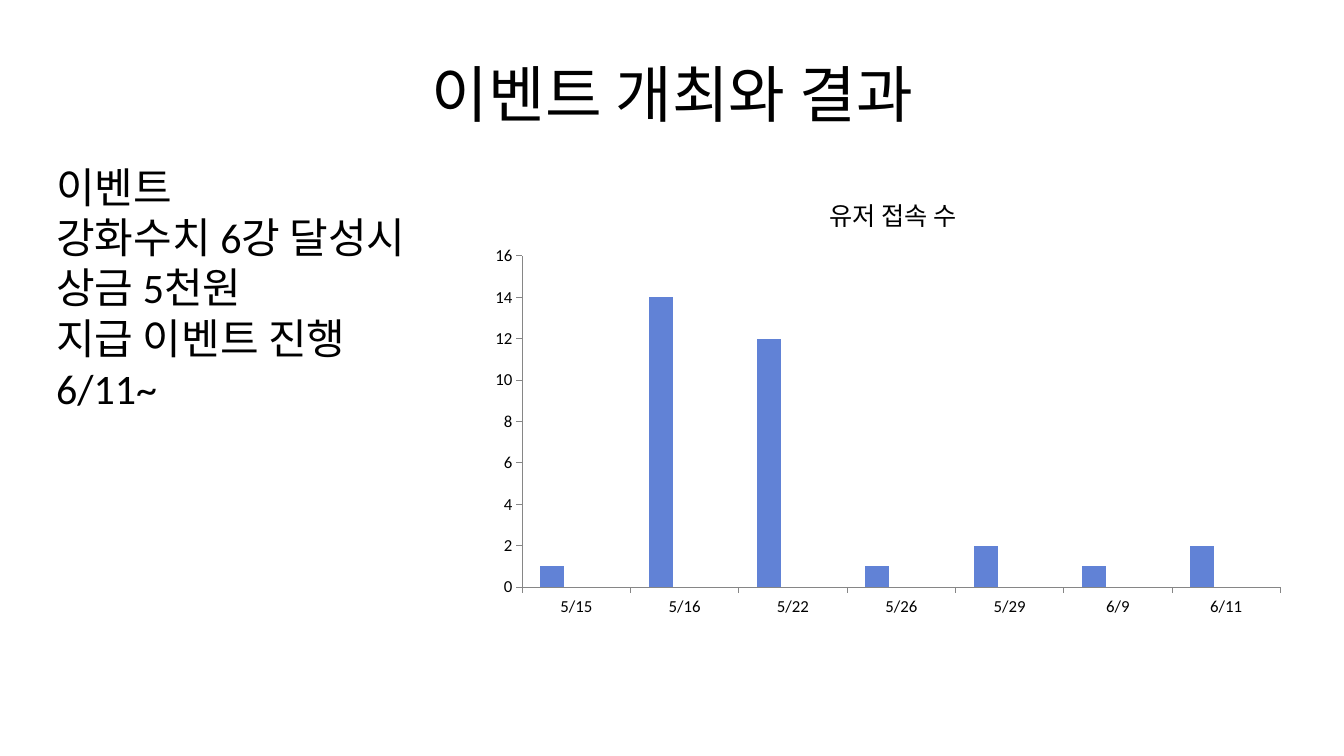
"""Builds a slide on an event and its result, with a column chart of user logins."""
from lxml.etree import SubElement
from pptx import Presentation
from pptx.chart.data import CategoryChartData
from pptx.dml.color import RGBColor
from pptx.enum.chart import XL_CHART_TYPE as ChartType, XL_TICK_MARK as Tick
from pptx.enum.text import MSO_ANCHOR as Anchor, PP_ALIGN as Align
from pptx.oxml.ns import qn
from pptx.util import Inches, Pt


def style(font, size, color="000000"):
    """Sets the typeface, size and colour of a font."""
    for name, value in {"name": "Calibri", "size": Pt(size), "bold": False}.items():
        setattr(font, name, value)
    font.color.rgb = RGBColor.from_string(color)


def add_text(page, area, lines, size, align, anchor):
    """Adds a text box with one paragraph for each line."""
    frame = page.shapes.add_textbox(*map(Inches, area)).text_frame
    frame.word_wrap = True
    frame.vertical_anchor = anchor
    for index, line in enumerate(lines):
        para = frame.paragraphs[0] if index == 0 else frame.add_paragraph()
        para.alignment = align
        span = para.add_run()
        span.text = line
        style(span.font, size)


deck = Presentation()
deck.slide_width, deck.slide_height = Inches(13.33), Inches(7.5)
page = deck.slides.add_slide(deck.slide_layouts[6])

add_text(page, (0.67, 0.3, 12, 1.25), ["이벤트 개최와 결과"], 44, Align.CENTER, Anchor.MIDDLE)

logins = CategoryChartData()
logins.categories = ["5/15", "5/16", "5/22", "5/26", "5/29", "6/9", "6/11"]
series_values = {
    "Series 1": [1, 14, 12, 1, 2, 1, 2],
    "Series 2": [None] * 7,
    "Series 3": [None] * 7,
}
for name, values in series_values.items():
    logins.add_series(name, values)
chart = page.shapes.add_chart(
    ChartType.COLUMN_CLUSTERED, *map(Inches, (4.86, 1.73, 8, 4.5)), logins
).chart
style(chart.font, 12)
chart.has_legend = False
chart.has_title = True
chart.chart_title.include_in_layout = False
title = chart.chart_title.text_frame.paragraphs[0].add_run()
title.text = "유저 접속 수"
style(title.font, 18)

columns = chart.plots[0]
columns.gap_width, columns.overlap, columns.vary_by_categories = 150, 0, False
for series, color in zip(columns.series, ("6182D6", "FF843A", "B2B2B2")):
    series.format.fill.solid()
    series.format.fill.fore_color.rgb = RGBColor.from_string(color)

for axis in (chart.category_axis, chart.value_axis):
    axis.has_major_gridlines = False
    axis.major_tick_mark, axis.minor_tick_mark = Tick.OUTSIDE, Tick.NONE
    axis.format.line.color.rgb = RGBColor.from_string("868686")
    axis.format.line.width = Pt(0.75)
    style(axis.tick_labels.font, 12)
scale = {"minimum_scale": 0, "maximum_scale": 16, "major_unit": 2}
for name, value in scale.items():
    setattr(chart.value_axis, name, value)

plot_area = chart.element.find(".//" + qn("c:plotArea"))
for layout in plot_area.findall(qn("c:layout")):
    plot_area.remove(layout)
layout = SubElement(plot_area, qn("c:layout"))
plot_area.insert(0, layout)
manual = SubElement(layout, qn("c:manualLayout"))
placement = {
    "layoutTarget": "inner", "xMode": "edge", "yMode": "edge",
    "x": 0.04, "y": 0.18, "w": 0.94, "h": 0.73,
}
for name, value in placement.items():
    SubElement(manual, qn("c:" + name)).set("val", str(value))

event = ["이벤트", "강화수치 6강 달성시", "상금 5천원", "지급 이벤트 진행", "6/11~"]
add_text(page, (0.46, 1.55, 8.16, 2.59), event, 30, Align.LEFT, Anchor.TOP)

deck.save("out.pptx")
